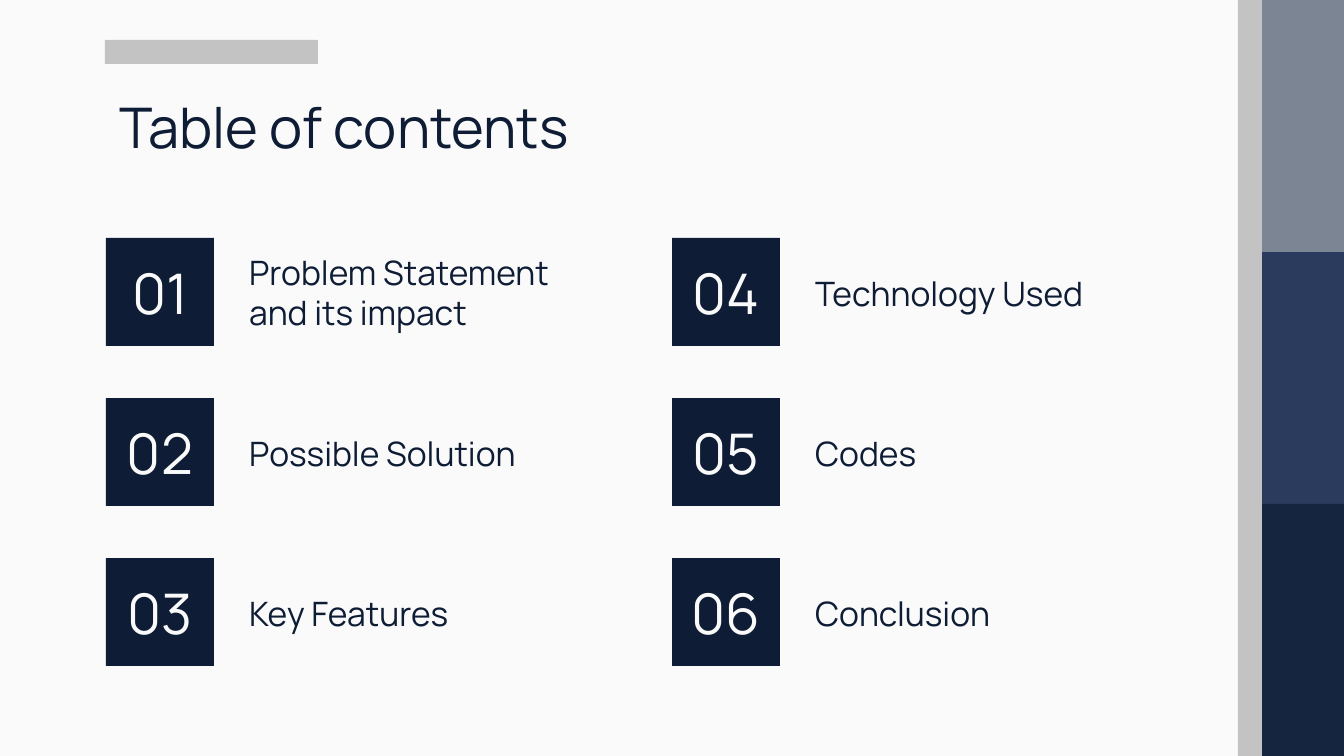
from dataclasses import dataclass

from pptx import Presentation
from pptx.dml.color import RGBColor
from pptx.enum.shapes import MSO_SHAPE as Preset
from pptx.enum.text import MSO_ANCHOR as Anchor, PP_ALIGN as Align
from pptx.util import Emu, Inches, Pt

SLIDE_WIDTH, SLIDE_HEIGHT = 1344, 756
SCALE = Inches(10) / SLIDE_WIDTH
FONT = "Manrope"
COLORS = {
    "background": "FAFAFA",
    "navy": "0E1D35",
    "gray": "C3C3C3",
    "slate": "7C8594",
    "blue": "2B3B5D",
    "midnight": "15253F",
}

# Contents grid
GRID_LEFT, GRID_TOP = 106, 238
COLUMN_STEP, ROW_STEP = 566, 160
ROWS = 3
TILE = 108
LABEL_OFFSET = 130


@dataclass(frozen=True)
class Box:
    left: int
    top: int
    width: int
    height: int

    def emu(self) -> tuple[Emu, ...]:
        sides = (self.left, self.top, self.width, self.height)
        return tuple(Emu(round(side * SCALE)) for side in sides)


@dataclass(frozen=True)
class Section:
    title: str
    label_width: int = 372
    label_height: int = 65


SECTIONS = [
    Section("Problem Statement and its impact", 383, TILE),
    Section("Possible Solution"),
    Section("Key Features"),
    Section("Technology Used"),
    Section("Codes"),
    Section("Conclusion"),
]


def rgb(name: str) -> RGBColor:
    return RGBColor.from_string(COLORS[name])


def add_block(slide, box: Box, color: str):
    shape = slide.shapes.add_shape(Preset.RECTANGLE, *box.emu())
    shape.shadow.inherit = False
    shape.fill.solid()
    shape.fill.fore_color.rgb = rgb(color)
    shape.line.fill.background()
    return shape


def write(shape, text: str, size: int, color: str,
          align=Align.LEFT, anchor=Anchor.TOP) -> None:
    frame = shape.text_frame
    frame.text = text
    frame.word_wrap = True
    frame.vertical_anchor = anchor
    frame.margin_left = frame.margin_right = Inches(0.1)
    frame.margin_top = frame.margin_bottom = Inches(0.1)
    paragraph = frame.paragraphs[0]
    paragraph.alignment = align
    font = paragraph.runs[0].font
    font.name, font.size = FONT, Pt(size)
    font.color.rgb = rgb(color)


def add_label(slide, box: Box, text: str, size: int) -> None:
    write(slide.shapes.add_textbox(*box.emu()), text, size, "navy")


def add_section(slide, index: int, section: Section) -> None:
    column, row = divmod(index, ROWS)
    left = GRID_LEFT + column * COLUMN_STEP
    top = GRID_TOP + row * ROW_STEP
    tile = add_block(slide, Box(left, top, TILE, TILE), "navy")
    write(tile, f"{index + 1:02}", 30, "background", Align.CENTER, Anchor.MIDDLE)
    # The label box is centred on its tile
    label_top = top + (TILE - section.label_height + 1) // 2
    label = Box(left + LABEL_OFFSET, label_top,
                section.label_width, section.label_height)
    add_label(slide, label, section.title, 18)


def main() -> None:
    presentation = Presentation()
    presentation.slide_width = Emu(round(SLIDE_WIDTH * SCALE))
    presentation.slide_height = Emu(round(SLIDE_HEIGHT * SCALE))
    slide = presentation.slides.add_slide(presentation.slide_layouts[6])
    slide.background.fill.solid()
    slide.background.fill.fore_color.rgb = rgb("background")

    # Side bands
    band_height = SLIDE_HEIGHT // 3
    for index, color in enumerate(("slate", "blue", "midnight")):
        add_block(slide, Box(1262, index * band_height, 82, band_height), color)
    add_block(slide, Box(1238, 0, 24, SLIDE_HEIGHT), "gray")

    # Heading
    add_block(slide, Box(105, 40, 213, 24), "gray")
    add_label(slide, Box(106, 79, 1133, 85), "Table of contents", 30)

    # Contents
    for index, section in enumerate(SECTIONS):
        add_section(slide, index, section)

    presentation.save("out.pptx")


if __name__ == "__main__":
    main()
